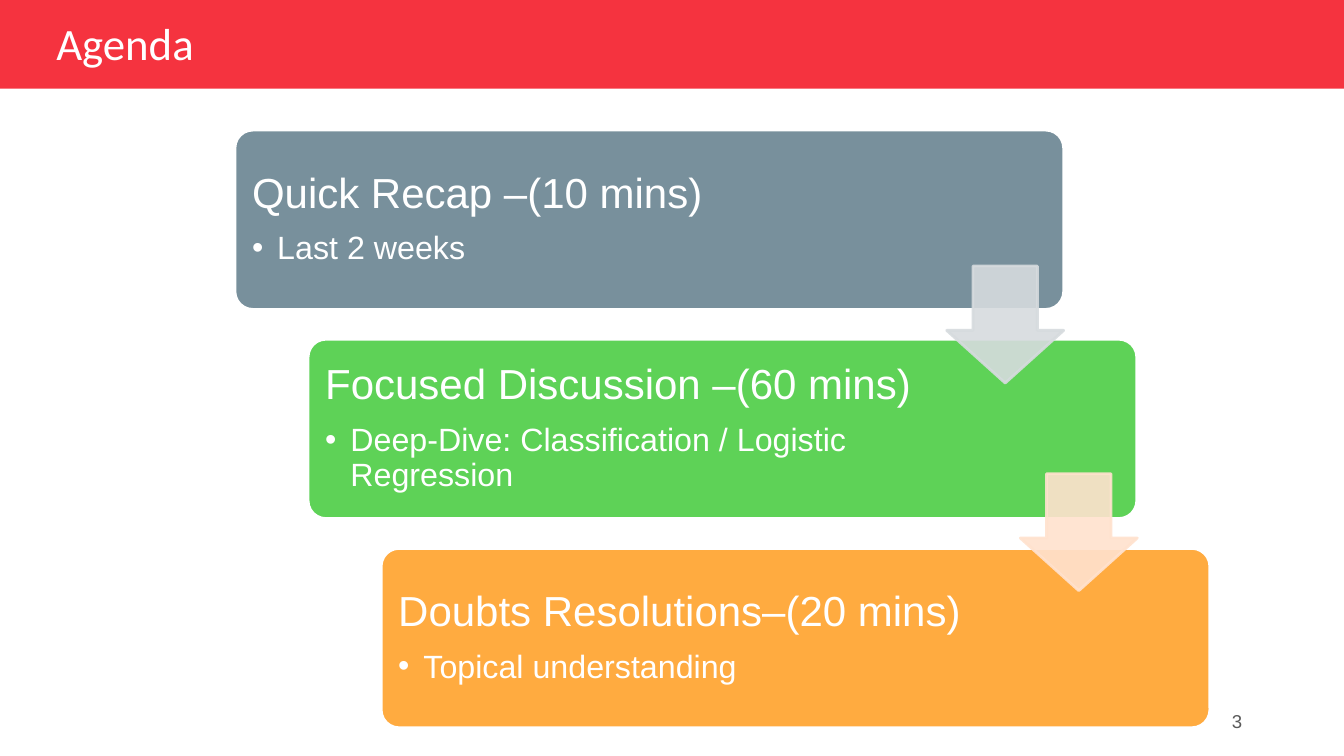
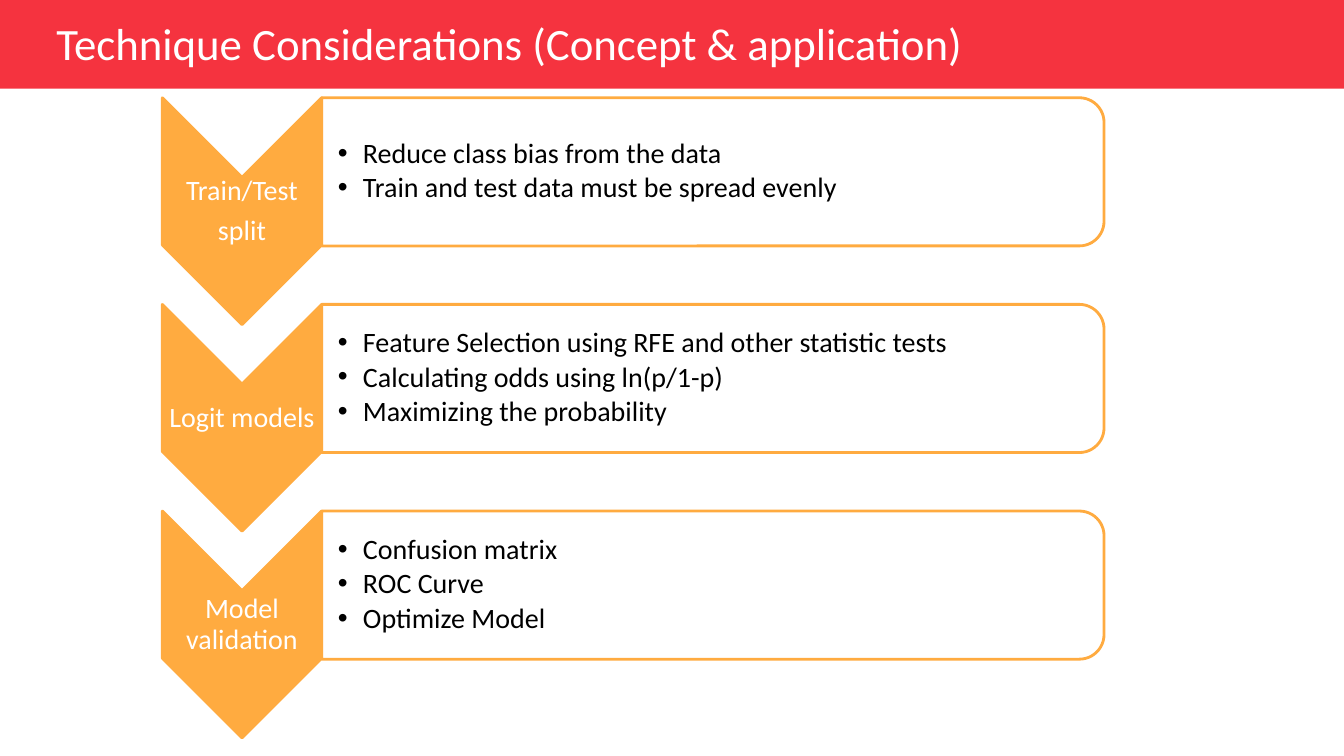
from dataclasses import dataclass

from lxml.etree import SubElement
from pptx import Presentation
from pptx.dml.color import RGBColor
from pptx.enum.shapes import MSO_SHAPE
from pptx.enum.text import MSO_ANCHOR, PP_ALIGN
from pptx.oxml.ns import qn
from pptx.util import Inches, Pt

COLORS = {
    "band": "F5333F",
    "white": "FFFFFF",
    "black": "000000",
    "number": "595959",
    "slate": "78909C",
    "green": "5ED257",
    "orange": "FFAB40",
    "pale_slate": "D6DBDE",
    "pale_orange": "FFE2CE",
}
SLIDE_WIDTH, SLIDE_HEIGHT = 13.33, 7.5
BULLET_INDENT = 0.25
TITLE_INSETS = (0.1, 0.05, 0.1, 0.05)


@dataclass(frozen=True)
class Box:
    left: float
    top: float
    width: float
    height: float

    def lengths(self) -> tuple:
        return tuple(Inches(v) for v in (self.left, self.top, self.width, self.height))

    def before_quarter_turn(self) -> "Box":
        shift = (self.width - self.height) / 2
        return Box(self.left + shift, self.top - shift, self.height, self.width)


@dataclass(frozen=True)
class AgendaStep:
    heading: str
    detail: str
    color: str


@dataclass(frozen=True)
class Technique:
    label: tuple[str, ...]
    points: tuple[str, ...]


AGENDA = (
    AgendaStep("Quick Recap –(10 mins)", "Last 2 weeks", "slate"),
    AgendaStep("Focused Discussion –(60 mins)",
               "Deep-Dive: Classification / Logistic Regression", "green"),
    AgendaStep("Doubts Resolutions–(20 mins)", "Topical understanding", "orange"),
)
ARROW_COLORS = ("pale_slate", "pale_orange")
TECHNIQUES = (
    Technique(("Train/Test", "split"),
              ("Reduce class bias from the data", "Train and test data must be spread evenly")),
    Technique(("Logit models",),
              ("Feature Selection using RFE and other statistic tests",
               "Calculating odds using ln(p/1-p)", "Maximizing the probability")),
    Technique(("Model validation",), ("Confusion matrix", "ROC Curve", "Optimize Model")),
)


def rgb(color: str) -> RGBColor:
    return RGBColor.from_string(COLORS[color])


def set_opacity(fill_parent, percent: int) -> None:
    color = fill_parent.find(qn("a:solidFill")).find(qn("a:srgbClr"))
    SubElement(color, qn("a:alpha")).set("val", str(percent * 1000))


def add_panel(slide, preset, box: Box, fill: str, *, line: str | None = None,
              adjustments=(), quarter_turn=False, fill_opacity=100, line_opacity=100) -> None:
    placed = box.before_quarter_turn() if quarter_turn else box
    panel = slide.shapes.add_shape(preset, *placed.lengths())
    panel.shadow.inherit = False
    panel.rotation = 90 if quarter_turn else 0
    for index, value in enumerate(adjustments):
        panel.adjustments[index] = value
    panel.fill.solid()
    panel.fill.fore_color.rgb = rgb(fill)
    properties = panel.fill._xPr
    if fill_opacity < 100:
        set_opacity(properties, fill_opacity)
    if line is None:
        panel.line.fill.background()
        return
    panel.line.color.rgb = rgb(line)
    panel.line.width = Pt(2)
    if line_opacity < 100:
        set_opacity(properties.find(qn("a:ln")), line_opacity)


def format_paragraph(paragraph, text: str, *, size: float, font: str, color: str,
                     align=PP_ALIGN.LEFT, spacing=0.9, after=0.0, bullet=False) -> None:
    paragraph.text = text
    paragraph.alignment = align
    paragraph.line_spacing = spacing
    paragraph.space_after = Pt(after)
    if bullet:
        properties = paragraph._p.get_or_add_pPr()
        properties.set("marL", str(Inches(BULLET_INDENT)))
        properties.set("indent", str(-Inches(BULLET_INDENT)))
        SubElement(properties, qn("a:buFont")).set("typeface", "Arial")
        SubElement(properties, qn("a:buChar")).set("char", "•")
    paragraph.font.size = Pt(size)
    paragraph.font.name = font
    paragraph.font.color.rgb = rgb(color)


def add_text_frame(slide, box: Box, insets):
    frame = slide.shapes.add_textbox(*box.lengths()).text_frame
    frame.word_wrap = True
    frame.vertical_anchor = MSO_ANCHOR.MIDDLE
    (frame.margin_left, frame.margin_top,
     frame.margin_right, frame.margin_bottom) = (Inches(v) for v in insets)
    return frame


def add_text(slide, box: Box, lines, *, insets, **style) -> None:
    frame = add_text_frame(slide, box, insets)
    for index, line in enumerate(lines):
        paragraph = frame.add_paragraph() if index else frame.paragraphs[0]
        format_paragraph(paragraph, line, **style)


def add_titled_slide(deck, title: str):
    slide = deck.slides.add_slide(deck.slide_layouts[6])
    add_panel(slide, MSO_SHAPE.RECTANGLE, Box(0, -0.05, SLIDE_WIDTH, 0.93), "band")
    add_text(slide, Box(0.46, 0.18, 10.41, 0.56), [title], insets=TITLE_INSETS,
             size=32, font="Calibri", color="white")
    return slide


def draw_agenda_step(slide, step: AgendaStep, left: float, top: float) -> None:
    add_panel(slide, MSO_SHAPE.ROUNDED_RECTANGLE, Box(left, top, 8.22, 1.78), step.color,
              line="white", adjustments=(0.1,))
    frame = add_text_frame(slide, Box(left + 0.05, top + 0.05, 6.23, 1.67), (0.12,) * 4)
    format_paragraph(frame.paragraphs[0], step.heading, size=30, font="Arial",
                     color="white", after=10.5)
    format_paragraph(frame.add_paragraph(), step.detail, size=23, font="Arial",
                     color="white", after=3.5, bullet=True)


def build_agenda(deck) -> None:
    slide = add_titled_slide(deck, "Agenda")
    for index, step in enumerate(AGENDA):
        draw_agenda_step(slide, step, 2.33 + index * 0.725, 1.29 + index * 2.075)
    for index, color in enumerate(ARROW_COLORS):
        add_panel(slide, MSO_SHAPE.DOWN_ARROW,
                  Box(9.39 + index * 0.73, 2.64 + index * 2.06, 1.16, 1.16), color,
                  line=color, adjustments=(0.55, 0.45), fill_opacity=90, line_opacity=90)
    add_text(slide, Box(9.42, 6.95, 3, 0.4), ["3"], insets=TITLE_INSETS, size=13.3,
             font="Arial", color="number", align=PP_ALIGN.RIGHT, spacing=1.0)


def draw_technique(slide, technique: Technique, top: float) -> None:
    add_panel(slide, MSO_SHAPE.CHEVRON, Box(1.61, top, 1.58, 2.25), "orange",
              line="orange", adjustments=(0.5,), quarter_turn=True)
    add_text(slide, Box(1.61, top + 0.79, 1.58, 0.68), technique.label, insets=(0.01,) * 4,
             size=20, font="Calibri", color="white", align=PP_ALIGN.CENTER, after=7)
    add_panel(slide, MSO_SHAPE.ROUND_2_SAME_RECTANGLE, Box(3.19, top, 7.76, 1.47), "white",
              line="orange", quarter_turn=True, fill_opacity=90)
    add_text(slide, Box(3.19, top + 0.07, 7.69, 1.32), technique.points,
             insets=(0.16, 0.01, 0.01, 0.01), size=20, font="Calibri", color="black",
             after=3, bullet=True)


def build_techniques(deck) -> None:
    slide = add_titled_slide(deck, "Technique Considerations (Concept & application)")
    for index, technique in enumerate(TECHNIQUES):
        draw_technique(slide, technique, 0.97 + index * 2.05)


def main() -> None:
    deck = Presentation()
    deck.slide_width = Inches(SLIDE_WIDTH)
    deck.slide_height = Inches(SLIDE_HEIGHT)
    build_agenda(deck)
    build_techniques(deck)
    deck.save("out.pptx")


if __name__ == "__main__":
    main()
